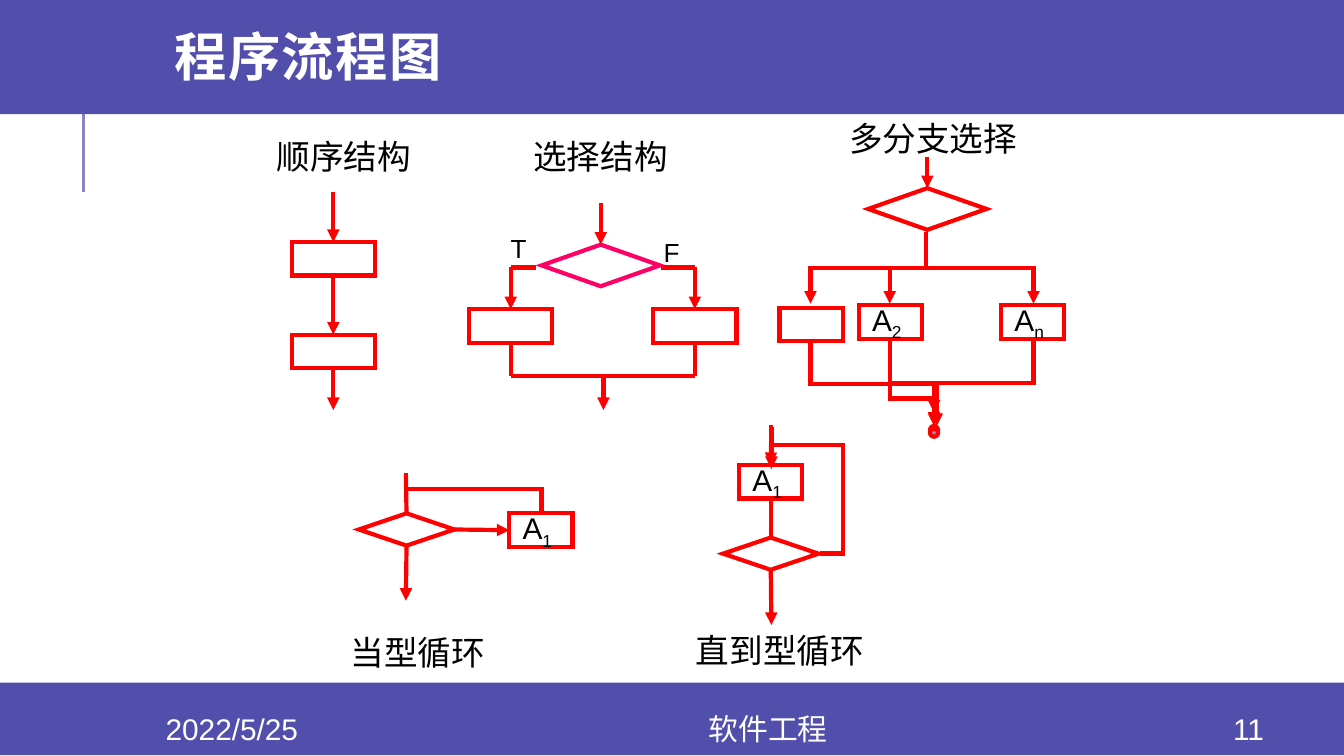
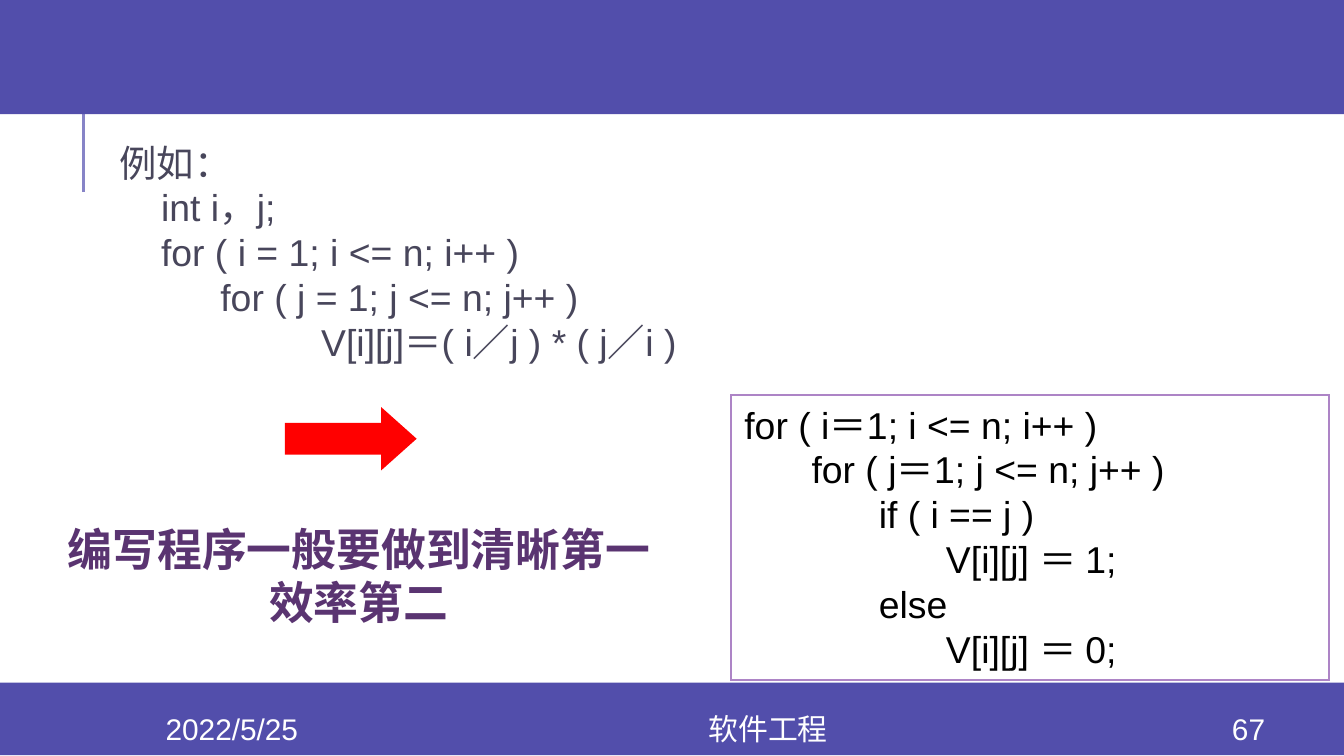
from dataclasses import dataclass
from typing import NamedTuple, Optional, Union

from lxml.etree import SubElement
from pptx import Presentation
from pptx.dml.color import RGBColor
from pptx.enum.shapes import MSO_CONNECTOR as Route, MSO_SHAPE as Preset
from pptx.enum.text import MSO_ANCHOR as Anchor, MSO_AUTO_SIZE as AutoSize, PP_ALIGN as Align
from pptx.oxml.ns import qn
from pptx.util import Inches, Pt


@dataclass(frozen=True)
class Theme:
    band: str = "524EAB"
    rule: str = "8784C7"
    white: str = "FFFFFF"
    black: str = "000000"
    red: str = "FF0000"
    pink: str = "FF0066"
    lilac: str = "AD84C6"
    slate: str = "48465B"
    plum: str = "5A3471"
    font: str = "Arial"
    title_font: str = "Montserrat"
    title: int = 28
    slogan: int = 24
    code: int = 20
    label: int = 18
    small: int = 16
    branch: int = 14
    flow_line: float = 2.25
    leading: float = 1.2


THEME = Theme()
TOP, LEFT, BOTTOM, RIGHT = range(4)


class Point(NamedTuple):
    x: float
    y: float


class Area(NamedTuple):
    left: float
    top: float
    width: float
    height: float

    def inches(self) -> list:
        return [Inches(value) for value in self]


class Joint(NamedTuple):
    node: str
    side: int


@dataclass(frozen=True)
class Node:
    name: str
    area: Area
    preset: int = Preset.RECTANGLE
    subscript: str = ""
    line: str = THEME.red
    fill: Optional[str] = None


class Straight(NamedTuple):
    begin: Union[Point, Joint]
    end: Union[Point, Joint]
    arrow: bool = True


class Bend(NamedTuple):
    """Elbow that leaves and arrives vertically."""
    begin: Point
    end: Point
    arrow: bool = True
    middle: float = 0.5


class Label(NamedTuple):
    text: str
    area: Area
    size: int = THEME.label


def step(name: str, left: float, top: float, subscript: str = "") -> Node:
    return Node(name, Area(left, top, 0.47 if subscript else 0.62, 0.25), subscript=subscript)


def test(name: str, area: Area, line: str = THEME.red) -> Node:
    return Node(name, area, Preset.DIAMOND, line=line)


def dot(name: str, top: float) -> Node:
    return Node(name, Area(6.92, top, 0.06, 0.06), Preset.OVAL, fill=THEME.lilac)


# Flow chart content
NODES = [
    step("first", 2.17, 1.8), step("second", 2.17, 2.49),
    test("choice", Area(4.03, 1.82, 0.88, 0.31), THEME.pink),
    step("then", 3.49, 2.3), step("otherwise", 4.86, 2.3),
    test("switch", Area(6.46, 1.4, 0.88, 0.31)),
    Node("case 1", Area(5.8, 2.29, 0.47, 0.25)),
    step("case 2", 6.39, 2.27, "2"), step("case n", 7.45, 2.27, "n"),
    dot("merge", 3.17), dot("exit", 3.19),
    test("while", Area(2.67, 3.82, 0.71, 0.24)), step("while body", 3.79, 3.82, "1"),
    test("until", Area(5.38, 4, 0.71, 0.24)), step("until body", 5.5, 3.46, "1"),
]
STRAIGHTS = [
    # Sequence
    Straight(Point(2.48, 1.43), Joint("first", TOP)),
    Straight(Joint("first", BOTTOM), Joint("second", TOP)),
    Straight(Joint("second", BOTTOM), Point(2.48, 3.05)),
    # Selection
    Straight(Point(4.47, 1.51), Joint("choice", TOP)),
    Straight(Point(3.8, 1.99), Point(3.99, 1.99), False),
    Straight(Point(4.92, 1.99), Point(5.17, 1.99), False),
    Straight(Point(3.8, 1.99), Joint("then", TOP)),
    Straight(Point(5.17, 1.99), Joint("otherwise", TOP)),
    Straight(Joint("then", BOTTOM), Point(3.8, 2.8), False),
    Straight(Joint("otherwise", BOTTOM), Point(5.17, 2.8), False),
    Straight(Point(3.8, 2.8), Point(5.17, 2.8), False),
    Straight(Point(4.49, 2.8), Point(4.49, 3.05)),
    # Multiple selection
    Straight(Point(6.9, 1.17), Joint("switch", TOP)),
    # While loop
    Straight(Point(3.02, 3.53), Joint("while", TOP), False),
    Straight(Joint("while", RIGHT), Joint("while body", LEFT)),
    Straight(Joint("while", BOTTOM), Point(3.02, 4.47)),
    # Until loop
    Straight(Point(5.74, 3.18), Joint("until body", TOP)),
    Straight(Point(5.74, 3.18), Point(5.74, 3.49)),
    Straight(Joint("until body", BOTTOM), Joint("until", TOP), False),
    Straight(Joint("until", BOTTOM), Point(5.74, 4.65)),
]
BENDS = [
    *(Bend(Point(6.89, 1.73), Point(x, 2.26)) for x in (6.03, 6.62, 7.69)),
    Bend(Point(6.03, 2.55), Point(6.95, 3.17)),
    Bend(Point(6.62, 2.54), Point(6.95, 3.16)),
    Bend(Point(7.69, 2.54), Point(6.97, 3.17), middle=0.49),
    Bend(Point(6.62, 2.86), Point(6.95, 3.07)),
    Bend(Point(4.03, 3.81), Point(3.02, 3.52), False, 0.6),
]
LABELS = [
    Label("T", Area(3.7, 1.68, 0.32, 0.34), THEME.branch),
    Label("F", Area(4.84, 1.71, 0.31, 0.34), THEME.branch),
    Label("顺序结构", Area(1.96, 0.96, 1.21, 0.4)),
    Label("选择结构", Area(3.87, 0.96, 1.21, 0.4)),
    Label("多分支选择", Area(6.22, 0.83, 1.46, 0.4)),
    Label("当型循环", Area(2.51, 4.65, 1.21, 0.4)),
    Label("直到型循环", Area(5.08, 4.64, 1.46, 0.4)),
]

# Code content
SLOW_CODE = """例如：
    int i，j;
    for ( i = 1; i <= n; i++ )
\tfor ( j = 1; j <= n; j++ )
\t\tV[i][j]＝( i／j ) * ( j／i )"""
CLEAR_CODE = """for ( i＝1; i <= n; i++ )
\tfor ( j＝1; j <= n; j++ )
\t\tif ( i == j )
\t\t\tV[i][j] ＝ 1;
\t\telse
\t\t\tV[i][j] ＝ 0;"""


def colour(value: str) -> RGBColor:
    return RGBColor.from_string(value)


def format_runs(paragraph, size: int, ink: str, bold: bool = False, font: str = THEME.font) -> None:
    for run in paragraph.runs:
        run.font.size, run.font.name, run.font.bold = Pt(size), font, bold
        run.font.color.rgb = colour(ink)


def set_leading(paragraph, size: int, tab: float = 0) -> None:
    """Fix the line pitch and, where asked, evenly spaced tab stops."""
    paragraph.line_spacing = Pt(size * THEME.leading)
    if tab:
        stops = SubElement(paragraph._p.get_or_add_pPr(), qn("a:tabLst"))
        for number in range(1, 4):
            SubElement(stops, qn("a:tab"), pos=str(Inches(tab * number)), algn="l")


def add_text(slide, text: str, area: Area, size: int, ink: str, wrap: bool = True,
             align=Align.LEFT, anchor=Anchor.TOP, bold: bool = False, font: str = THEME.font):
    frame = slide.shapes.add_textbox(*area.inches()).text_frame
    frame.text = text
    frame.word_wrap, frame.vertical_anchor = wrap, anchor
    if not wrap:
        frame.auto_size = AutoSize.SHAPE_TO_FIT_TEXT
    for paragraph in frame.paragraphs:
        paragraph.alignment = align
        format_runs(paragraph, size, ink, bold, font)
    return frame


def style_line(line, ink: str, width: float) -> None:
    line.color.rgb = colour(ink)
    line.width = Pt(width)
    SubElement(line._get_or_add_ln(), qn("a:miter"), lim="800000")


def add_preset(slide, preset: int, area: Area, fill: Optional[str] = None,
               line: Optional[str] = None, width: float = THEME.flow_line):
    shape = slide.shapes.add_shape(preset, *area.inches())
    shape.shadow.inherit = False
    if fill:
        shape.fill.solid()
        shape.fill.fore_color.rgb = colour(fill)
    else:
        shape.fill.background()
    if line:
        style_line(shape.line, line, width)
    else:
        shape.line.fill.background()
    return shape


def add_line(slide, begin: Point, end: Point, arrow: bool = False, route=Route.STRAIGHT,
             ink: str = THEME.red, width: float = THEME.flow_line):
    connector = slide.shapes.add_connector(route, *(Inches(value) for value in (*begin, *end)))
    style_line(connector.line, ink, width)
    if arrow:
        SubElement(connector.line._get_or_add_ln(), qn("a:tailEnd"), type="triangle")
    SubElement(connector._element.spPr, qn("a:effectLst"))
    return connector


def set_adjustments(connector, **adjustments: float) -> None:
    guides = connector._element.spPr.find(qn("a:prstGeom")).find(qn("a:avLst"))
    for name, value in adjustments.items():
        SubElement(guides, qn("a:gd"), name=name, fmla=f"val {round(value * 100000)}")


def add_node(slide, node: Node):
    shape = add_preset(slide, node.preset, node.area, node.fill, node.line)
    if node.subscript:
        frame = shape.text_frame
        frame.word_wrap, frame.vertical_anchor = False, Anchor.MIDDLE
        paragraph = frame.paragraphs[0]
        paragraph.alignment = Align.LEFT
        for text in ("A", node.subscript):
            paragraph.add_run().text = text
        format_runs(paragraph, THEME.small, THEME.black)
        paragraph.runs[1].font._element.set("baseline", "-25000")
    return shape


def add_straight(slide, line: Straight, shapes: dict) -> None:
    ends = (line.begin, line.end)
    points = [end if isinstance(end, Point) else Point(0, 0) for end in ends]
    connector = add_line(slide, *points, line.arrow)
    for end, connect in zip(ends, (connector.begin_connect, connector.end_connect)):
        if isinstance(end, Joint):
            connect(shapes[end.node], end.side)


def add_bend(slide, bend: Bend) -> None:
    # Lay the elbow out sideways about its centre, then turn it by a quarter
    (x1, y1), (x2, y2) = bend.begin, bend.end
    middle_x, middle_y = (x1 + x2) / 2, (y1 + y2) / 2
    half_x, half_y = (x2 - x1) / 2, (y2 - y1) / 2
    connector = add_line(slide, Point(middle_x - half_y, middle_y + half_x),
                         Point(middle_x + half_y, middle_y - half_x), bend.arrow, Route.ELBOW)
    connector._element.spPr.find(qn("a:xfrm")).set("rot", str(90 * 60000))
    set_adjustments(connector, adj1=bend.middle)


def add_frame(presentation, number: int):
    """New slide with the bands, side rule and footers."""
    slide = presentation.slides.add_slide(presentation.slide_layouts[6])
    add_line(slide, Point(0.62, 1.43), Point(0.62, 0.68), ink=THEME.rule, width=1.5)
    for area in (Area(0, 5.08, 10, 0.54), Area(0, -0.03, 10, 0.88)):
        add_preset(slide, Preset.RECTANGLE, area, THEME.band)
    for text, left, width in (("2022/5/25", 0.84, 1.77), ("软件工程", 2.61, 6.21),
                              (str(number), 8.89, 0.8)):
        add_text(slide, text, Area(left, 5.31, width, 0.23), THEME.small, THEME.white,
                 align=Align.CENTER, anchor=Anchor.MIDDLE)
    return slide


def build_flow_charts(presentation) -> None:
    slide = add_frame(presentation, 11)
    title = add_text(slide, "程序流程图", Area(1.2, 0, 8.49, 0.91), THEME.title, THEME.white,
                     anchor=Anchor.MIDDLE, bold=True, font=THEME.title_font).paragraphs[0]
    title.line_spacing = 0.8
    title.runs[0].font._element.set("spc", "80")

    shapes = {node.name: add_node(slide, node) for node in NODES}
    for line in STRAIGHTS:
        add_straight(slide, line, shapes)
    for bend in BENDS:
        add_bend(slide, bend)
    # Return path of the until loop
    back = add_line(slide, Point(6.1, 4.12), Point(5.74, 3.16), route=Route.ELBOW)
    back._element.spPr.find(qn("a:prstGeom")).set("prst", "bentConnector4")
    set_adjustments(back, adj1=-0.48, adj2=0.84)
    for label in LABELS:
        add_text(slide, label.text, label.area, label.size, THEME.black, wrap=False)


def build_code_example(presentation) -> None:
    slide = add_frame(presentation, 67)
    # Fast but obscure version
    frame = add_text(slide, SLOW_CODE, Area(0.84, 0.99, 7.04, 2.28), THEME.code, THEME.slate,
                     align=Align.JUSTIFY)
    frame.margin_left = frame.margin_right = Inches(0.05)
    for paragraph in frame.paragraphs:
        set_leading(paragraph, THEME.code, tab=0.75)

    # Clear version
    box = add_preset(slide, Preset.RECTANGLE, Area(5.44, 2.94, 4.45, 2.12),
                     THEME.white, THEME.lilac, 1.25)
    box.text_frame.word_wrap, box.text_frame.vertical_anchor = True, Anchor.TOP
    paragraph = box.text_frame.paragraphs[0]
    paragraph.text = CLEAR_CODE
    paragraph.alignment = Align.LEFT
    set_leading(paragraph, THEME.code, tab=0.5)
    format_runs(paragraph, THEME.code, THEME.black)

    # Arrow and conclusion
    arrow = add_preset(slide, Preset.RIGHT_ARROW, Area(2.12, 3.03, 0.98, 0.47), THEME.red)
    arrow.adjustments[1] = 0.56
    slogan = add_text(slide, "编写程序一般要做到清晰第一\n效率第二", Area(0.38, 3.83, 4.58, 0.91),
                      THEME.slogan, THEME.plum, wrap=False, align=Align.CENTER, bold=True)
    for paragraph in slogan.paragraphs:
        set_leading(paragraph, THEME.slogan)


def main() -> None:
    presentation = Presentation()
    presentation.slide_width, presentation.slide_height = Inches(10), Inches(10 * 9 / 16)
    build_flow_charts(presentation)
    build_code_example(presentation)
    presentation.save("out.pptx")


if __name__ == "__main__":
    main()
